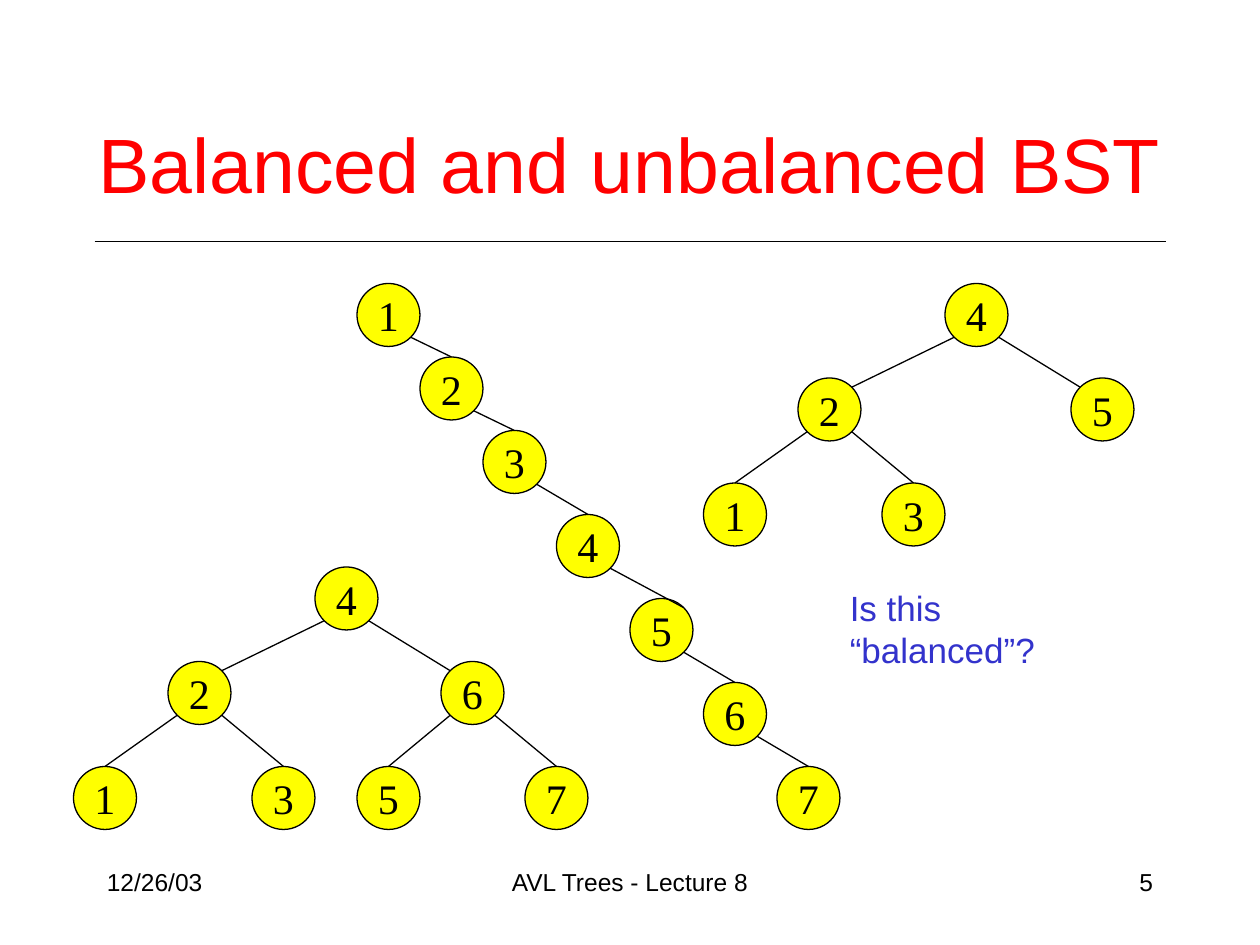
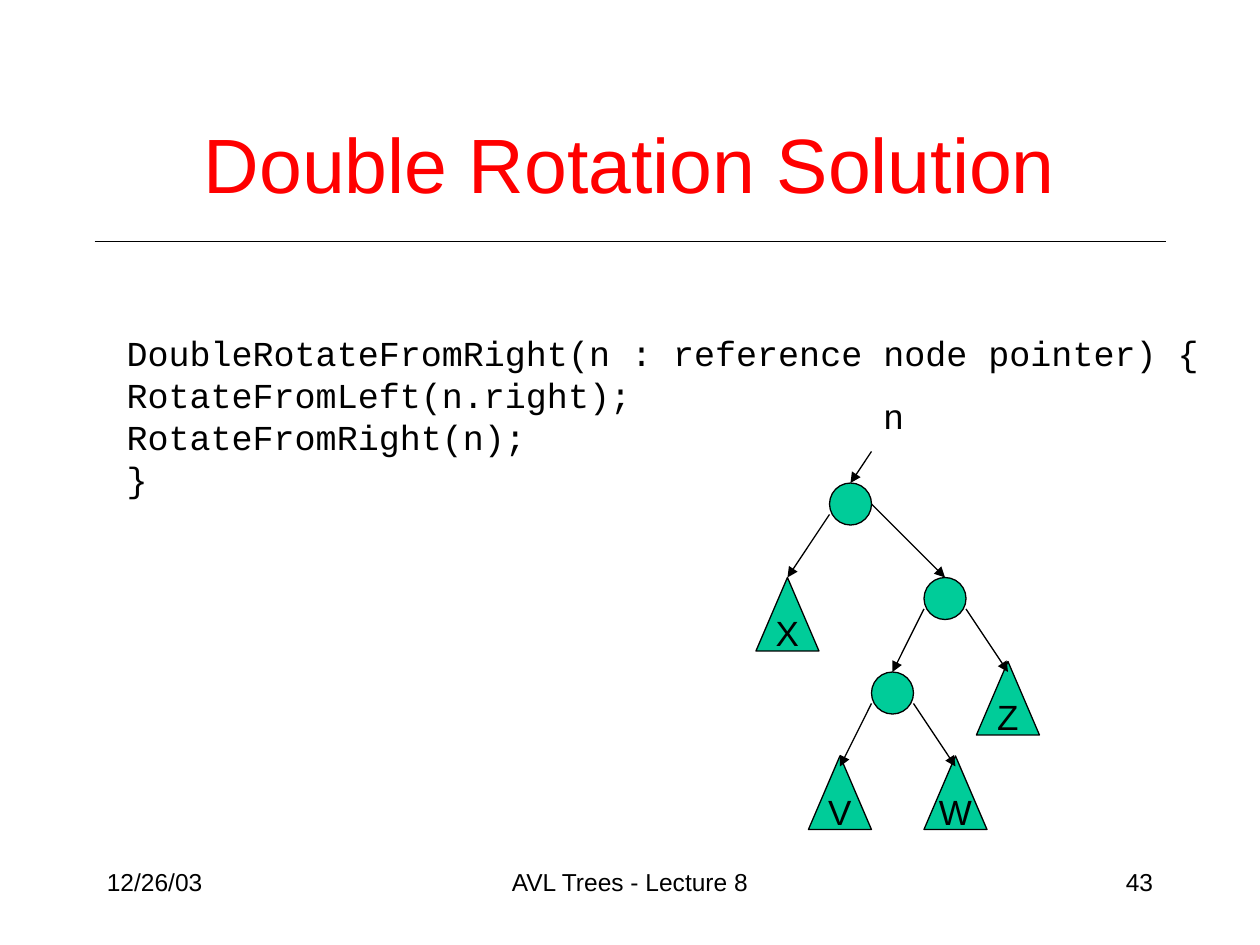
from dataclasses import dataclass

from lxml import etree
from pptx import Presentation
from pptx import util as u
from pptx.dml.color import RGBColor
from pptx.enum import shapes, text
from pptx.oxml import ns

SCALE = 9525  # EMU in one px, at 96 px to the inch


@dataclass(frozen=True)
class Theme:
    ink: str = "000000"
    title: str = "FF0000"
    question: str = "3333CC"
    key_node: str = "FFFF00"
    subtree: str = "00CC99"
    sans: str = "Arial"
    serif: str = "Times New Roman"
    mono: str = "Courier New"
    title_size: int = 44
    key_size: int = 24
    body_size: int = 20
    footer_size: int = 14
    line_width: float = 0.75


THEME = Theme()
LEFT, CENTER, RIGHT = text.PP_ALIGN.LEFT, text.PP_ALIGN.CENTER, text.PP_ALIGN.RIGHT
OVAL, TRIANGLE = shapes.MSO_SHAPE.OVAL, shapes.MSO_SHAPE.ISOSCELES_TRIANGLE


def px(*lengths):
    return [u.Emu(length * SCALE) for length in lengths]


def write(shape, words, size, font=THEME.sans, color=THEME.ink, align=LEFT,
          anchor=text.MSO_ANCHOR.TOP, wrap=True):
    frame = shape.text_frame
    frame.word_wrap = wrap
    frame.vertical_anchor = anchor
    frame.text = words
    for para in frame.paragraphs:
        para.alignment = align
        para.font.name = font
        para.font.size = u.Pt(size)
        para.font.color.rgb = RGBColor.from_string(color)


def add_text(page, box, words, size, **style):
    write(page.shapes.add_textbox(*px(*box)), words, size, **style)


def add_line(page, start, end, arrow=False):
    line = page.shapes.add_connector(shapes.MSO_CONNECTOR.STRAIGHT, *px(*start, *end))
    line.line.color.rgb = RGBColor.from_string(THEME.ink)
    line.line.width = u.Pt(THEME.line_width)
    if arrow:
        etree.SubElement(line.line._get_or_add_ln(), ns.qn("a:tailEnd"), type="triangle")
    etree.SubElement(line._element.spPr, ns.qn("a:effectLst"))
    return line


def add_node(page, kind, box, fill, label="", **style):
    node = page.shapes.add_shape(kind, *px(*box))
    node.shadow.inherit = False
    node.fill.solid()
    node.fill.fore_color.rgb = RGBColor.from_string(fill)
    node.line.color.rgb = RGBColor.from_string(THEME.ink)
    node.line.width = u.Pt(THEME.line_width)
    if label:
        write(node, label, align=CENTER, anchor=text.MSO_ANCHOR.MIDDLE, wrap=False, **style)
    return node


def add_page(deck, title, title_box, number):
    """Start a blank page with the title, rule and footer that all pages share."""
    page = deck.slides.add_slide(deck.slide_layouts[6])
    add_line(page, (72, 184), (888, 184))
    for left, width, words, align in (
        (72, 200, "12/26/03", LEFT),
        (328, 304, "AVL Trees - Lecture 8", CENTER),
        (688, 200, str(number), RIGHT),
    ):
        add_text(page, (left, 656, width, 48), words, THEME.footer_size, align=align)
    add_text(page, title_box, title, THEME.title_size, color=THEME.title,
             align=CENTER, anchor=text.MSO_ANCHOR.MIDDLE)
    return page


KEY = 48               # diameter of a numbered node
NEAR, FAR = 7, 41      # where its diagonal meets the circle


def add_keys(page, labels, places):
    return [add_node(page, OVAL, (x, y, KEY, KEY), THEME.key_node, label,
                     size=THEME.key_size, font=THEME.serif)
            for label, (x, y) in zip(labels, places)]


def add_heap_tree(page, left, top, labels):
    """Draw labels level by level; the parent of slot n is slot n // 2."""
    slots = [(184, 0), (72, 72), (280, 72), (0, 152), (136, 152), (216, 152), (344, 152)]
    places = [(left + x, top + y) for x, y in slots]
    keys = add_keys(page, labels, places)
    for slot in range(2, len(keys) + 1):
        parent_x, parent_y = places[slot // 2 - 1]
        x, y = places[slot - 1]
        start_x, end_x = (NEAR, FAR) if slot % 2 == 0 else (FAR, NEAR)
        edge = add_line(page, (parent_x + start_x, parent_y + FAR), (x + end_x, y + NEAR))
        if slot > 3:
            edge.end_connect(keys[slot - 1], 0)


def add_chain(page, left, top):
    """Draw the unbalanced tree, in which every node has only a right child."""
    steps = [(0, 0), (48, 56), (96, 112)] + [(96 + 56 * n, 112 + 64 * n) for n in range(1, 5)]
    places = [(left + x, top + y) for x, y in steps]
    keys = add_keys(page, "1234567", places)
    for (x, y), (next_x, next_y), key in zip(places, places[1:], keys[1:]):
        edge = add_line(page, (x + FAR, y + FAR), (next_x + FAR, next_y + NEAR))
        if key is not keys[4]:
            edge.end_connect(key, 0)


def add_rotation_tree(page, left, top):
    """Draw the nodes and the subtrees X, V, W and Z below the pointer n."""
    places = {"root": (56, 72), "right": (128, 144), "inner": (88, 216),
              "X": (0, 144), "V": (40, 280), "W": (128, 280), "Z": (168, 208)}
    nodes = {}
    for name, (x, y) in places.items():
        if len(name) == 1:
            nodes[name] = add_node(page, TRIANGLE, (left + x, top + y, 48, 56),
                                   THEME.subtree, name, size=THEME.body_size)
        else:
            nodes[name] = add_node(page, OVAL, (left + x, top + y, 32, 32), THEME.subtree)

    add_text(page, (left + 88, top, 34, 42), "n", THEME.body_size, wrap=False)
    pointer = add_line(page, (left + 88, top + 48), (left + 72, top + 72), arrow=True)
    pointer.end_connect(nodes["root"], 0)

    # parent, child, start within the parent, depth of the tip below the child's top
    for parent, child, start_x, start_y, depth in (
        ("root", "X", 0, 24, 0),
        ("root", "right", 32, 16, 0),
        ("right", "inner", 0, 24, 0),
        ("right", "Z", 32, 24, 8),
        ("inner", "V", 0, 24, 8),
        ("inner", "W", 32, 24, 8),
    ):
        x, y = places[parent]
        child_x, child_y = places[child]
        middle = 24 if len(child) == 1 else 16
        arrow = add_line(page, (left + x + start_x, top + y + start_y),
                         (left + child_x + middle, top + child_y + depth), arrow=True)
        if not depth:
            arrow.end_connect(nodes[child], 0)


def add_balance_page(deck):
    page = add_page(deck, "Balanced and unbalanced BST", (56, 64, 848, 120), 5)
    add_heap_tree(page, 536, 216, "42513")
    add_chain(page, 272, 216)
    add_heap_tree(page, 56, 432, "4261357")
    add_text(page, (638, 442, 237, 42), "Is this “balanced”?", THEME.body_size,
             color=THEME.question, wrap=False)


def add_rotation_page(deck):
    page = add_page(deck, "Double Rotation Solution", (72, 64, 816, 120), 43)
    code = "\n".join((
        "DoubleRotateFromRight(n : reference node pointer) {",
        "RotateFromLeft(n.right);",
        "RotateFromRight(n);",
        "}",
    ))
    add_text(page, (87, 248, 837, 138), code, THEME.body_size, font=THEME.mono, wrap=False)
    add_rotation_tree(page, 576, 296)


def main():
    deck = Presentation()
    deck.slide_width, deck.slide_height = px(960, 720)
    add_balance_page(deck)
    add_rotation_page(deck)
    deck.save("out.pptx")


if __name__ == "__main__":
    main()
